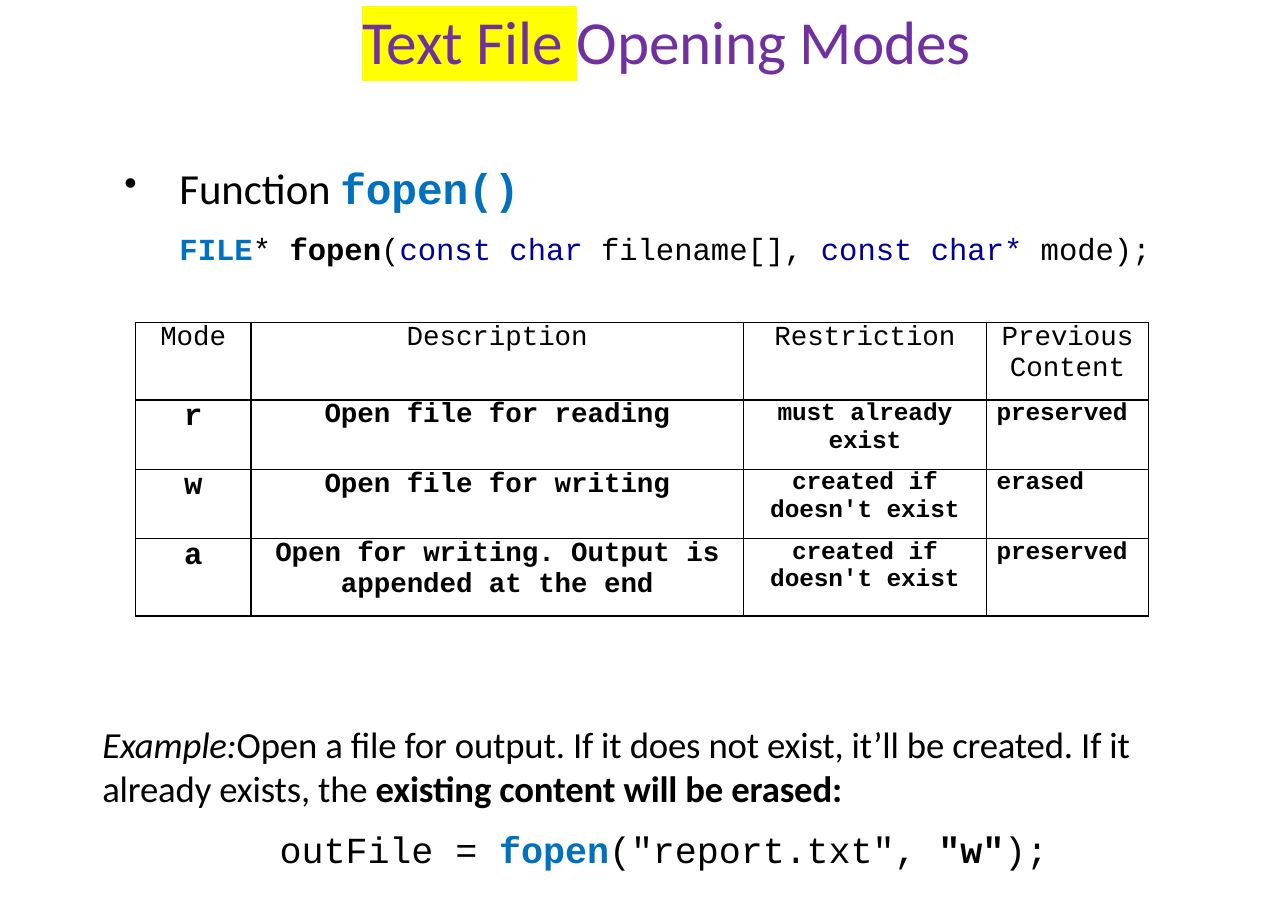
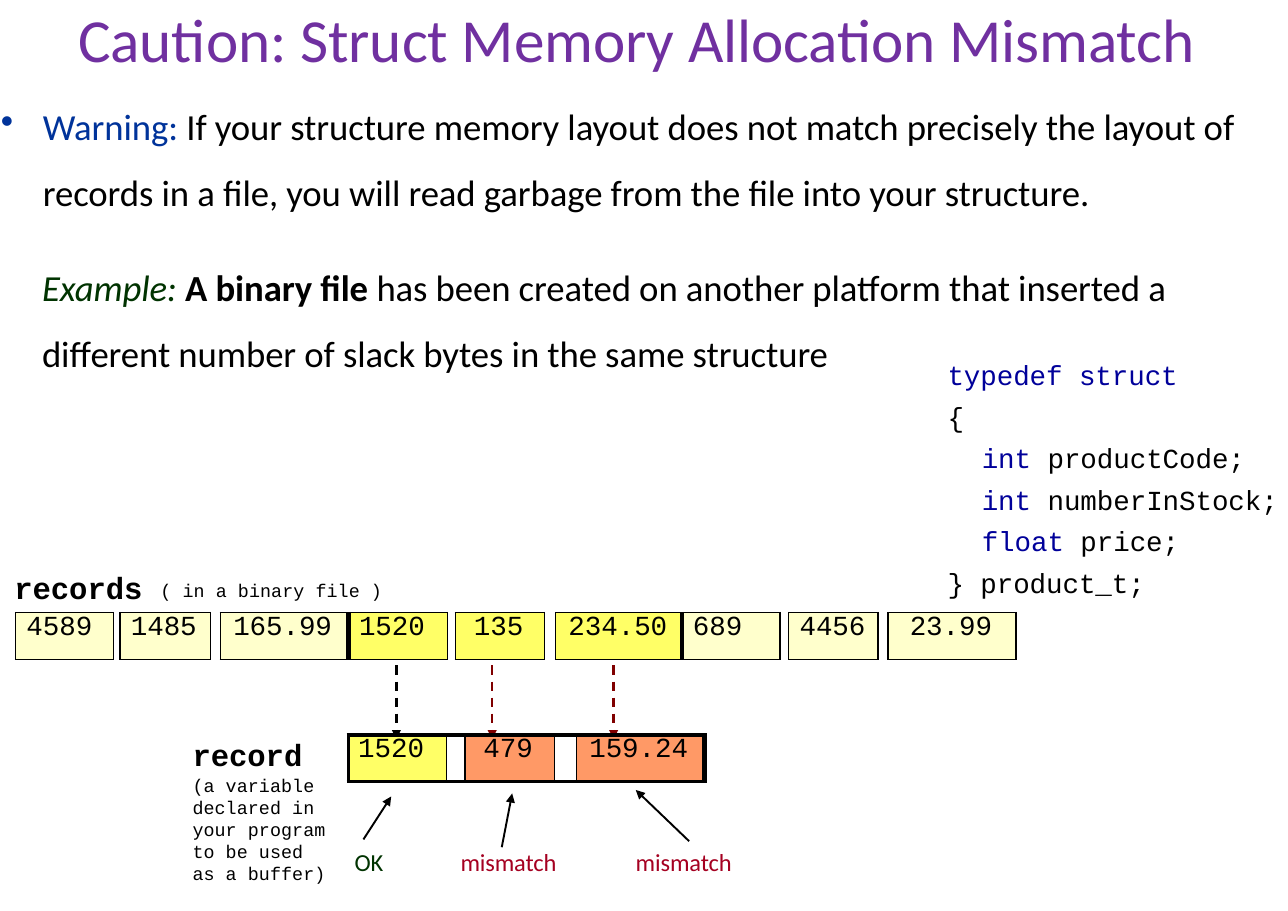
from lxml import etree
from pptx import Presentation
from pptx.dml.color import RGBColor
from pptx.enum import dml, shapes, text
from pptx.oxml import ns
from pptx.util import Cm, Pt

SANS, MONO = "Calibri", "Courier New"
BLACK, PURPLE, BLUE, NAVY = "000000", "7030A0", "0070C0", "00009A"
GREEN, RED, MAROON = "003300", "A50021", "800000"
CREAM, YELLOW, ORANGE = "FFFFCC", "FFFF66", "FF9966"
LEFT, CENTER = text.PP_ALIGN.LEFT, text.PP_ALIGN.CENTER


def color(code):
    return RGBColor.from_string(code)


def sub(parent, tag, **attrs):
    return etree.SubElement(parent, ns.qn(tag), attrs)


def say(para, words, size=24, font=SANS, ink=BLACK, bold=False, italic=False,
        mark=None, track=-5):
    """Add a run; mark is a highlight colour, track is in 1/100 pt."""
    run = para.add_run()
    run.text = words
    face = run.font
    face.size, face.name, face.bold, face.italic = Pt(size), font, bold, italic
    face.color.rgb = color(ink)
    props = run._r.get_or_add_rPr()
    props.set("spc", str(track))
    if mark:
        glow = etree.Element(ns.qn("a:highlight"))
        sub(glow, "a:srgbClr", val=mark)
        props.find(ns.qn("a:solidFill")).addnext(glow)


def fill_para(para, runs, left=0, hang=0, before=0, lines=None, bullet=0,
              align=LEFT, **base):
    """Format a paragraph; runs is a string or (string, format) pairs."""
    para.alignment = align
    para.space_before = Pt(before)
    if lines:
        para.line_spacing = lines
    props = para._p.get_or_add_pPr()
    props.set("marL", str(Cm(left)))
    props.set("indent", str(-Cm(hang)))
    if bullet:
        sub(props, "a:buSzPct", val=str(bullet * 1000))
        sub(props, "a:buChar", char="•")
    for words, look in [(runs, {})] if isinstance(runs, str) else runs:
        say(para, words, **{**base, **look})


def set_frame(frame):
    frame.margin_left = frame.margin_right = 0
    frame.margin_top = frame.margin_bottom = 0
    frame.word_wrap = True
    frame.auto_size = text.MSO_AUTO_SIZE.NONE
    frame.vertical_anchor = text.MSO_ANCHOR.TOP


def add_box(slide, x, y, w, h, *paras):
    """Add a text box; each paragraph is a (runs, format) pair."""
    frame = slide.shapes.add_textbox(Cm(x), Cm(y), Cm(w), Cm(h)).text_frame
    set_frame(frame)
    for i, (runs, look) in enumerate(paras):
        para = frame.add_paragraph() if i else frame.paragraphs[0]
        fill_para(para, runs, **look)


def add_slide(deck, runs, x, y, w, **look):
    slide = deck.slides.add_slide(deck.slide_layouts[5])
    title = slide.shapes.title
    title.left, title.top, title.width, title.height = map(Cm, (x, y, w, 1.7))
    set_frame(title.text_frame)
    fill_para(title.text_frame.paragraphs[0], runs, size=40, ink=PURPLE, **look)
    return slide


def add_grid(slide, x, y, cols, rows):
    frame = slide.shapes.add_table(len(rows), len(cols), Cm(x), Cm(y),
                                   Cm(sum(cols)), Cm(sum(rows)))
    grid = frame.table
    grid.first_row = grid.horz_banding = False
    for col, width in zip(grid.columns, cols):
        col.width = Cm(width)
    for row, height in zip(grid.rows, rows):
        row.height = Cm(height)
    return grid


def set_cell(cell, words="", fill=None, sides=(1, 1, 1, 1), **look):
    """Fill a cell; sides are left, right, top and bottom line widths."""
    cell.margin_left = cell.margin_right = 0
    cell.margin_top = cell.margin_bottom = 0
    props = cell._tc.get_or_add_tcPr()
    for side, width in zip("LRTB", sides):
        line = sub(props, "a:ln" + side, w=str(Pt(width)))
        if width:
            sub(sub(line, "a:solidFill"), "a:srgbClr", val=BLACK)
        else:
            sub(line, "a:noFill")
    if fill:
        cell.fill.solid()
        cell.fill.fore_color.rgb = color(fill)
    else:
        cell.fill.background()
    if words:
        fill_para(cell.text_frame.paragraphs[0], words, font=MONO, **look)


def add_strip(slide, x, y, cols, cells, edge, thick):
    """Draw one row of fields; a None cell is slack between two fields.

    edge gives the top and bottom widths of (fields, slack); thick maps
    the number of a vertical line to its width.
    """
    grid = add_grid(slide, x, y, cols, [1.08])
    for i, field in enumerate(cells):
        words, fill, left = field or ("", None, 0)
        rim = edge[0] if field else edge[1]
        sides = (thick.get(i, 1), thick.get(i + 1, 1), rim, rim)
        set_cell(grid.cell(0, i), words, fill, sides, left=left, size=18)


def add_arrow(slide, x1, y1, x2, y2, ink=BLACK, width=1.25, dashed=False):
    arrow = slide.shapes.add_connector(shapes.MSO_CONNECTOR.STRAIGHT,
                                       Cm(x1), Cm(y1), Cm(x2), Cm(y2))
    arrow.line.color.rgb = color(ink)
    arrow.line.width = Pt(width)
    if dashed:
        arrow.line.dash_style = dml.MSO_LINE.DASH
    sub(arrow.line._get_or_add_ln(), "a:tailEnd", type="triangle")
    sub(arrow._element.spPr, "a:effectLst")


def build_modes(deck):
    slide = add_slide(deck, [("Text File ", {"mark": "FFFF00"}),
                             ("Opening Modes", {})],
                      6.38, 0.08, 17.98, align=CENTER)
    key, strong = {"ink": NAVY}, {"bold": True}
    call = {"ink": BLUE, "bold": True}
    add_box(
        slide, 2.84, 3.73, 23.95, 4.93,
        ([("Function ", {}), ("fopen()", {"font": MONO, **call})],
         dict(size=28, left=1.3, hang=1.27, bullet=86)),
        ([("FILE", call), ("* ", {}), ("fopen", strong), ("(", {}),
          ("const char ", key), ("filename[], ", {}),
          ("const char* ", key), ("mode);", {})],
         dict(size=20, font=MONO, left=1.3, before=11.2)))
    add_box(
        slide, 2.36, 16.64, 25.5, 3.48,
        ([("Example:", {"italic": True}),
          ("Open a file for output. If it does not exist, it’ll be created. "
           "If it already exists, the ", {}),
          ("existing content will be erased:", strong)], dict(track=-10)),
        ([("outFile = ", {}), ("fopen", call), ('("report.txt", ', {}),
          ('"w"', strong), (");", {})],
         dict(font=MONO, left=4.09, before=10.8)))

    made = "created if doesn't exist"
    rows = [
        ("Mode", "Description", "Restriction", "Previous Content"),
        ("r", "Open file for reading", "must already exist", "preserved"),
        ("w", "Open file for writing", made, "erased"),
        ("a", "Open for writing. Output is appended at the end", made,
         "preserved")]
    grid = add_grid(slide, 3.12, 7.44, [2.67, 11.35, 5.61, 3.73],
                    [1.78, 1.6, 1.6, 1.78])
    for r, row in enumerate(rows):
        for c, (words, size) in enumerate(zip(row, (20, 18, 16, 16))):
            look = dict(size=size if r else 18, bold=r > 0, align=CENTER)
            if r and c == 3:
                look.update(align=LEFT, left=0.23)
            set_cell(grid.cell(r, c), words, **look)


def build_caution(deck):
    slide = add_slide(deck, "Caution: Struct Memory Allocation Mismatch",
                      0.3, 0.03, 27.89, left=1.5)
    add_box(
        slide, 0, 1.88, 29.67, 6.68,
        ([("Warning: ", {"ink": "00339A"}),
          ("If your structure memory layout does not match precisely the "
           "layout of records in a file, you will read garbage from the file "
           "into your structure.", {})],
         dict(left=0.99, hang=0.97, lines=1.5, bullet=100)),
        ([("Example: ", {"ink": GREEN, "italic": True}),
          ("A binary file ", {"bold": True}),
          ("has been created on another platform that inserted a different "
           "number of slack bytes in the same structure", {})],
         dict(left=0.97, lines=1.5, before=18.8)))

    code = [("typedef struct", "", 0), ("", "{", 0),
            ("int ", "productCode;", 0.79), ("int ", "numberInStock;", 0.79),
            ("float ", "price;", 0.79), ("", "} product_t;", 0)]
    add_box(slide, 21.85, 8.26, 7.8, 6.93,
            *[([(w, {"ink": ink}) for w, ink in ((key, NAVY), (rest, BLACK))
                if w],
               dict(size=18, font=MONO, left=left, before=5.5 if i else 0))
              for i, (key, rest, left) in enumerate(code)])

    head = dict(size=20, font=MONO, bold=True)
    note = dict(size=12, font=MONO, track=5)
    add_box(slide, 0.33, 13.11, 3.3, 0.79, ("records", head))
    add_box(slide, 3.7, 13.34, 5.5, 0.48, ("( in a binary file )", note))
    add_box(slide, 4.44, 16.97, 3.2, 3.33, ("record", head),
            ("(a variable declared in your program to be used as a buffer)",
             dict(before=0.8, **note)))

    for x, ink in ((9.14, BLACK), (11.35, MAROON), (14.15, MAROON)):
        add_arrow(slide, x, 15.34, x, 17.04, ink, 1.5, dashed=True)

    add_strip(
        slide, 0.36, 14.12,
        [2.26, 0.15, 2.08, 0.23, 2.95, 2.29, 0.18, 2.06, 0.25, 2.92,
         2.26, 0.2, 2.06, 0.23, 2.95],
        [("4589", CREAM, 0.25), None, ("1485", CREAM, 0.25), None,
         ("165.99", CREAM, 0.3), ("1520", YELLOW, 0.25), None,
         ("135", YELLOW, 0.43), None, ("234.50", YELLOW, 0.3),
         ("689", CREAM, 0.25), None, ("4456", CREAM, 0.25), None,
         ("23.99", CREAM, 0.5)],
        edge=(1, 0), thick={5: 3.46, 10: 2.5})
    add_strip(
        slide, 8.03, 16.94, [2.26, 0.43, 2.06, 0.51, 2.95],
        [("1520", YELLOW, 0.23), None, ("479", ORANGE, 0.43), None,
         ("159.24", ORANGE, 0.3)],
        edge=(2.5, 2.5), thick={0: 2.5, 5: 3.85})

    for x, words, ink, arrow in (
            (8.18, "OK", GREEN, (8.38, 19.35, 9.02, 18.36)),
            (10.62, "mismatch", RED, (11.57, 19.53, 11.81, 18.29)),
            (14.66, "mismatch", RED, (15.89, 19.39, 14.66, 18.21))):
        add_box(slide, x, 19.53, 2.6, 0.64, (words, dict(size=16, ink=ink)))
        add_arrow(slide, *arrow)


def main():
    deck = Presentation()
    deck.slide_width, deck.slide_height = Cm(29.7), Cm(21)
    build_modes(deck)
    build_caution(deck)
    deck.save("out.pptx")


if __name__ == "__main__":
    main()
